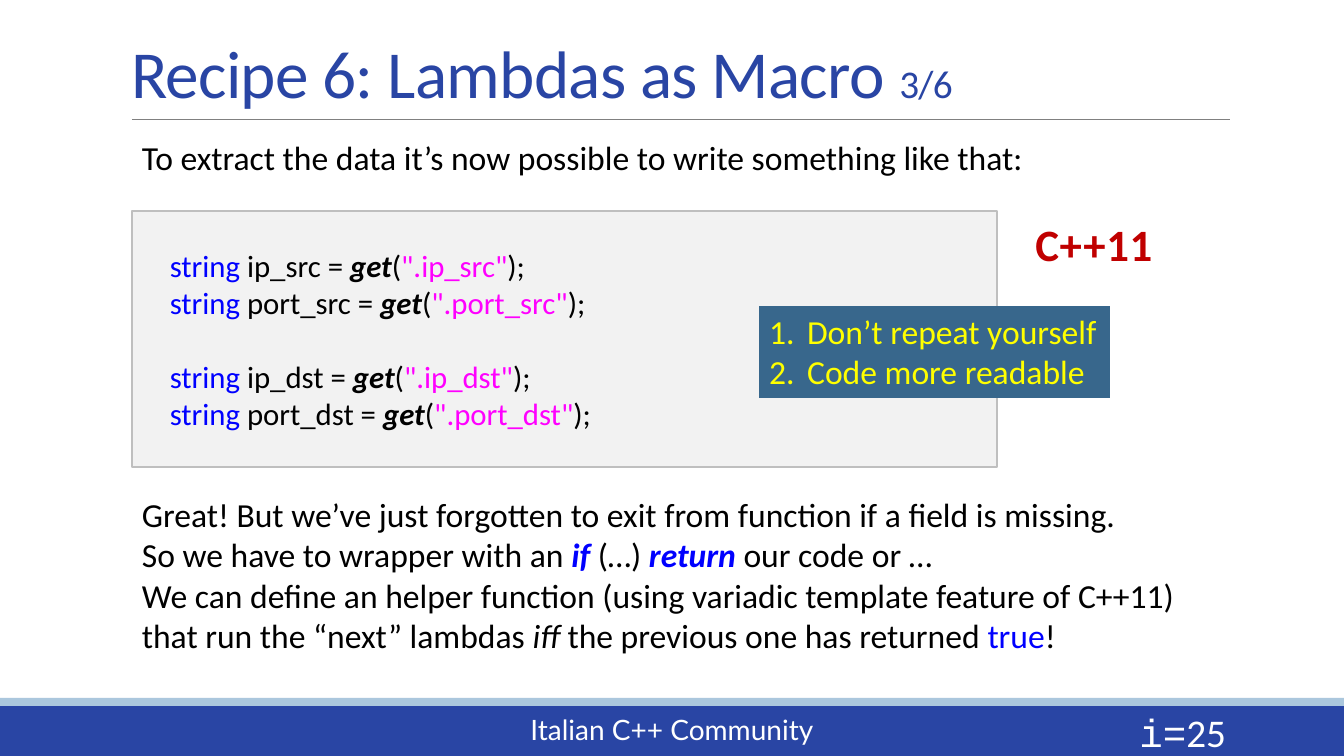
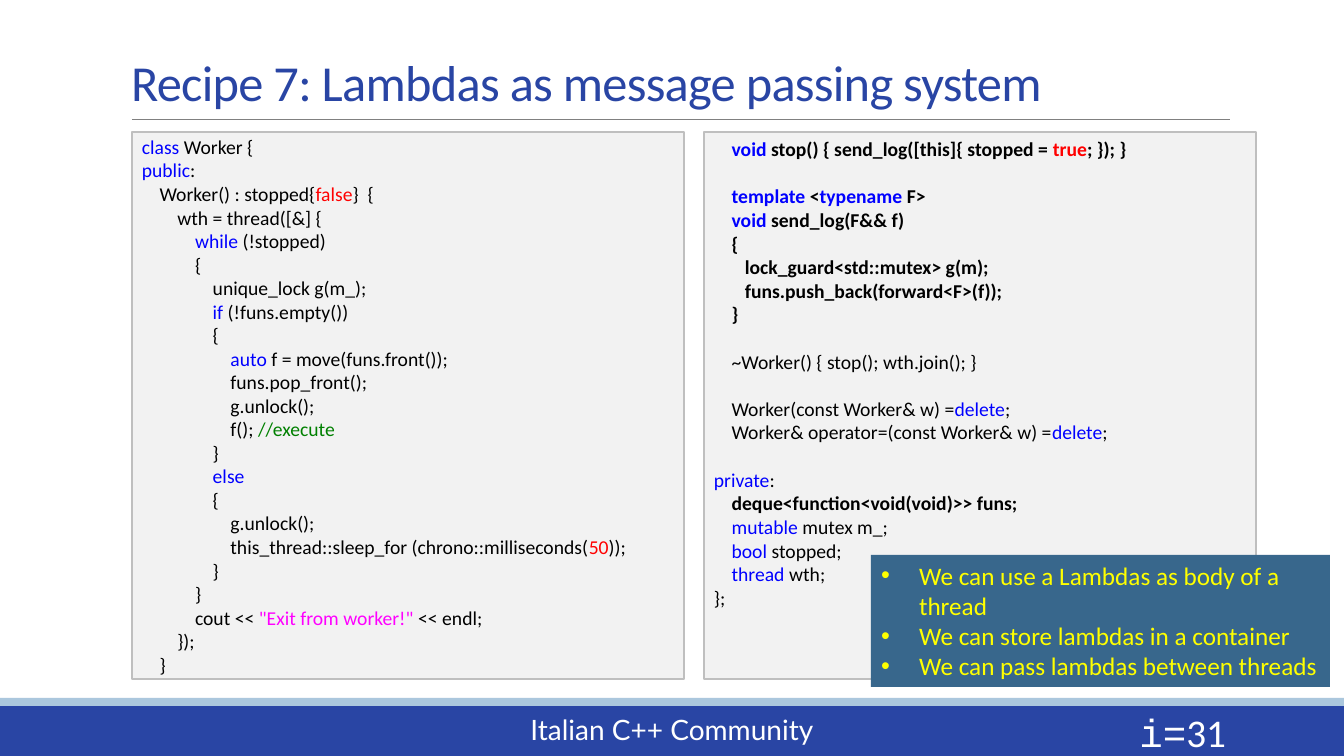
from pptx import Presentation
from pptx.dml.color import RGBColor
from pptx.enum.shapes import MSO_CONNECTOR, MSO_SHAPE
from pptx.enum.text import MSO_ANCHOR as ANCHOR, MSO_AUTO_SIZE, PP_ALIGN as ALIGN
from pptx.oxml.ns import qn
from pptx.util import Pt
from lxml.etree import SubElement

WIDTH, HEIGHT = 1344, 756
SCALE = 12192000 / WIDTH
LEFT = 132
BODY_FONT = "Calibri"
SPACE_WIDTH, LINE_HEIGHT = 0.226, 1.22  # in ems of the body font

NAVY, PALE_BLUE, STEEL = "2945A4", "ABC7DD", "38678C"
PANEL, PANEL_EDGE, RULE = "F2F2F2", "BFBFBF", "808080"
BLACK, WHITE, YELLOW, DARK_RED = "000000", "FFFFFF", "FFFF00", "C00000"
BLUE, MAGENTA, RED, GREEN = "0000FF", "FF00FF", "FF0000", "008000"

# Markup: ‹tag text› styles a run; a leading * makes a line bold.
STYLES = {
    "k": {"color": BLUE},
    "s": {"color": MAGENTA},
    "v": {"color": RED},
    "c": {"color": GREEN},
    "f": {"bold": True, "italic": True},
    "K": {"color": BLUE, "bold": True, "italic": True},
    "i": {"italic": True},
    "n": {"size": 28},
    "m": {"name": "Courier New"},
}

FOOTER = "Italian C++ Community"

GET_CODE = """\
    ‹k string ›ip_src = ‹f get›(‹s ".ip_src"›);
    ‹k string ›port_src = ‹f get›(‹s ".port_src"›);

    ‹k string ›ip_dst = ‹f get›(‹s ".ip_dst"›);
    ‹k string ›port_dst = ‹f get›(‹s ".port_dst"›);"""

WORKER_CODE = """\
‹k class ›Worker {
‹k public›:
    Worker() : stopped{‹v false›}  {
        wth = thread([&] {
            ‹k while› (!stopped)
            {
                unique_lock g(m_);
                ‹k if› (!funs.empty())
                {
                    ‹k auto› f = move(funs.front());
                    funs.pop_front();
                    g.unlock();
                    f(); ‹c //execute›
                }
                ‹k else›
                {
                    g.unlock();
                    this_thread::sleep_for (chrono::milliseconds(‹v 50›));
                }
            }
            cout << ‹s "Exit from worker!" ›<< endl;
        });
    }"""

MEMBERS_CODE = """\
*   ‹k void› stop() { send_log([this]{ stopped = ‹v true›; }); }

*   ‹k template› <‹k typename ›F>
*   ‹k void ›send_log(F&& f)
*   {
*      lock_guard<std::mutex> g(m);
*      funs.push_back(forward<F>(f));
*   }

    ~Worker() { stop(); wth.join(); }

    Worker(const Worker& w) =‹k delete›;
    Worker& operator=(const Worker& w) =‹k delete›;

‹k private›:
*   deque<function<void(void)>> funs;
    ‹k mutable ›mutex m_;
    ‹k bool› stopped;
    ‹k thread ›wth;
};"""

INTRO = "To extract the data it’s now possible to write something like that:"
OUTRO = """\
Great! But we’ve just forgotten to exit from function if a field is missing.
So we have to wrapper with an ‹K if ›(…) ‹K return ›our code or …
We can define an helper function (using variadic template feature of C++11) \
that run the “next” lambdas ‹i iff› the previous one has returned ‹k true›!"""

# Each text: box, content, size, extra formatting
SLIDES = [
    {
        "title": "Recipe 6: Lambdas as Macro ‹n 3/6›",
        "title_size": 48,
        "number": 25,
        "panels": [((LEFT, 211, 865, 256), GET_CODE, 22, ANCHOR.MIDDLE)],
        "texts": [
            ((LEFT, 132, 1104, 50), INTRO, 24, {}),
            ((1014, 212, 160, 64), "C++11", 32,
             {"color": DARK_RED, "bold": True, "align": ALIGN.CENTER, "spacing": 50}),
            ((LEFT, 489, 1090, 173), OUTRO, 24, {}),
        ],
        "callout": ((759, 306, 351, 92), 24, "number",
                    "Don’t repeat yourself\nCode more readable"),
    },
    {
        "title": "Recipe 7: Lambdas as message passing system",
        "title_size": 36,
        "number": 31,
        "panels": [
            ((LEFT, 132, 552, 547), WORKER_CODE, 14, ANCHOR.MIDDLE),
            ((704, 132, 552, 547), MEMBERS_CODE, 14, ANCHOR.TOP),
        ],
        "texts": [],
        "callout": ((871, 555, 459, 132), 18, "dot",
                    "We can use a Lambdas as body of a thread\n"
                    "We can store lambdas in a container\n"
                    "We can pass lambdas between threads"),
    },
]


def px(length):
    return round(length * SCALE)


def rgb(value):
    return RGBColor.from_string(value)


def place(shape, box):
    shape.left, shape.top, shape.width, shape.height = map(px, box)


def style_font(font, name=None, size=None, color=None, bold=None, italic=None):
    if name:
        font.name = name
    if size:
        font.size = Pt(size)
    if color:
        font.color.rgb = rgb(color)
    if bold is not None:
        font.bold = bold
    if italic is not None:
        font.italic = italic


def split_runs(line):
    """Yield (text, style) for each piece of a marked-up line."""
    plain, *tagged = line.split("‹")
    yield plain, {}
    for piece in tagged:
        styled, rest = piece.split("›")
        yield styled[2:], STYLES[styled[0]]
        yield rest, {}


def add_bullet(paragraph, kind):
    properties = paragraph._p.get_or_add_pPr()
    properties.set("marL", str(px(38)))
    properties.set("indent", str(px(-38)))
    if kind == "number":
        SubElement(properties, qn("a:buAutoNum"), type="arabicPeriod")
    else:
        SubElement(properties, qn("a:buFont"), typeface="Arial")
        SubElement(properties, qn("a:buChar"), char="•")


def write(frame, text, size, color=BLACK, font=BODY_FONT, bold=False, align=ALIGN.LEFT,
          anchor=ANCHOR.TOP, line_spacing=1.0, spacing=None, bullet=None):
    """Fill a frame; leading spaces become indents, empty lines space before."""
    frame.auto_size = MSO_AUTO_SIZE.NONE
    frame.word_wrap = True
    frame.vertical_anchor = anchor
    paragraph, gap = None, 0
    for line in text.split("\n"):
        if not line:
            gap += size * LINE_HEIGHT
            continue
        paragraph = frame.add_paragraph() if paragraph else frame.paragraphs[0]
        strong = bold or line.startswith("*")
        line = line.replace("*", " ", 1) if line.startswith("*") else line
        content = line.lstrip()
        indent = len(line) - len(content)
        if bullet:
            add_bullet(paragraph, bullet)
        elif indent:
            properties = paragraph._p.get_or_add_pPr()
            properties.set("marL", str(Pt(indent * size * SPACE_WIDTH)))
            properties.set("indent", "0")
        paragraph.alignment = align
        paragraph.line_spacing = line_spacing
        paragraph.space_before = Pt(gap)
        gap = 0
        style_font(paragraph.font, font, size, color, strong)
        for piece, style in split_runs(content):
            if piece:
                run = paragraph.add_run()
                run.text = piece
                style_font(run.font, **style)
                if spacing:
                    run._r.get_or_add_rPr().set("spc", str(spacing))


def add_rectangle(slide, box, fill, edge=None):
    shape = slide.shapes.add_shape(MSO_SHAPE.RECTANGLE, *map(px, box))
    shape.shadow.inherit = False
    shape.fill.solid()
    shape.fill.fore_color.rgb = rgb(fill)
    if edge:
        shape.line.color.rgb = rgb(edge)
        shape.line.width = Pt(1.25)
    else:
        shape.line.fill.background()
    return shape


def add_text(slide, box, text, size, **formatting):
    shape = slide.shapes.add_textbox(*map(px, box))
    write(shape.text_frame, text, size, **formatting)
    return shape


def decorate_layout(layout, slide):
    """Draw the bands, rule and footer on the slide, then move them to its layout."""
    for placeholder in list(layout.placeholders):
        if placeholder.placeholder_format.idx >= 10:
            placeholder.element.getparent().remove(placeholder.element)
    rule = slide.shapes.add_connector(
        MSO_CONNECTOR.STRAIGHT, px(LEFT), px(119), px(1230), px(119))
    rule.line.color.rgb = rgb(RULE)
    rule.line.width = Pt(0.5)
    SubElement(rule.element.spPr, qn("a:effectLst"))
    decorations = [
        add_rectangle(slide, (0, 706, WIDTH, 50), NAVY),
        add_rectangle(slide, (0, 698, WIDTH, 8), PALE_BLUE),
        rule,
        add_text(slide, (0, 708, WIDTH, 44), FOOTER, 20, color=WHITE, font="Lato",
                 align=ALIGN.CENTER),
    ]
    for shape in decorations:
        layout.shapes.element.append(shape.element)


def fill_slide(slide, content):
    title, callout = slide.shapes.title, slide.placeholders[1]
    place(title, (121, 1, 1109, 116))
    write(title.text_frame, content["title"], content["title_size"], color=NAVY,
          anchor=ANCHOR.BOTTOM, line_spacing=0.85, spacing=-50)
    add_text(slide, (1092, 712, 144, 40), f"‹m i=›{content['number']}", 28, color=WHITE,
             align=ALIGN.RIGHT, anchor=ANCHOR.MIDDLE)
    for box, code, size, anchor in content["panels"]:
        panel = add_rectangle(slide, box, PANEL, PANEL_EDGE)
        write(panel.text_frame, code, size, anchor=anchor)
    for box, text, size, formatting in content["texts"]:
        add_text(slide, box, text, size, **formatting)

    box, size, bullet, points = content["callout"]
    place(callout, box)
    callout.fill.solid()
    callout.fill.fore_color.rgb = rgb(STEEL)
    callout.text_frame.margin_right = 0
    write(callout.text_frame, points, size, color=YELLOW, bullet=bullet)
    slide.shapes.element.append(callout.element)  # bring to front


def main():
    presentation = Presentation()
    presentation.slide_width, presentation.slide_height = px(WIDTH), px(HEIGHT)
    layout = presentation.slide_layouts[1]
    slides = [presentation.slides.add_slide(layout) for _ in SLIDES]
    decorate_layout(layout, slides[0])
    for slide, content in zip(slides, SLIDES):
        fill_slide(slide, content)
    presentation.save("out.pptx")


if __name__ == "__main__":
    main()
